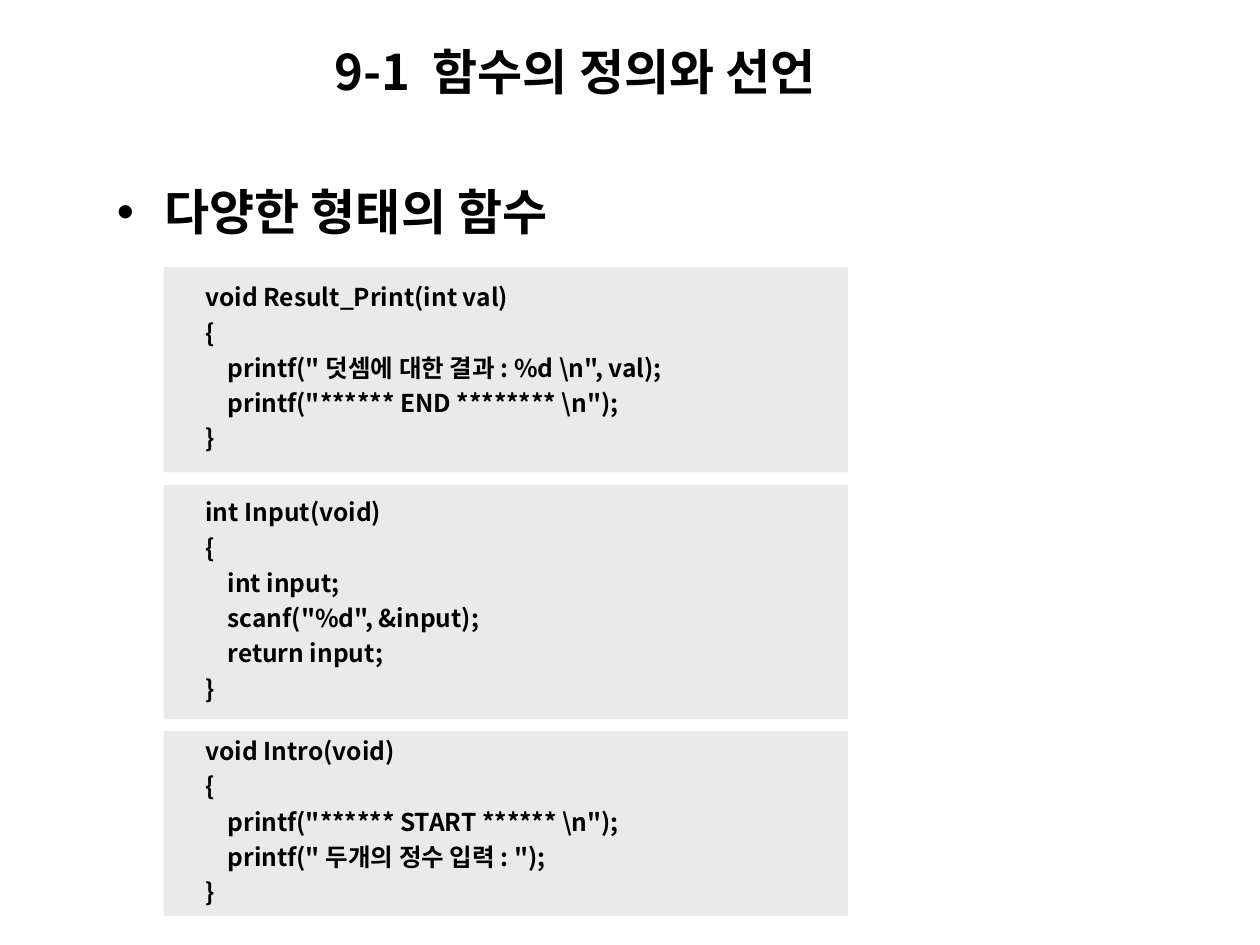
import pptx
import pptx.util
import pptx.dml.color
import pptx.enum.shapes
import pptx.enum.text
import pptx.oxml.ns
from lxml import etree

COLORS = {"text": "000000", "panel": "EAEAEA", "page": "FFFFFF"}
FONT = "Noto Sans CJK KR"
TITLE = "9-1  함수의 정의와 선언"
TOPIC = "다양한 형태의 함수"

# Top and height of each code panel, then its lines
LISTINGS = [
    (2.12, 1.63, [
        "void Result_Print(int val)",
        "{",
        '    printf(" 덧셈에 대한 결과 : %d \\n", val);',
        '    printf("****** END ******** \\n");',
        "}",
    ]),
    (3.85, 1.86, [
        "int Input(void)",
        "{",
        "    int input;",
        '    scanf("%d", &input);',
        "    return input;",
        "}",
    ]),
    (5.8, 1.47, [
        "void Intro(void)",
        "{",
        '    printf("****** START ****** \\n");',
        '    printf(" 두개의 정수 입력 : ");',
        "}",
    ]),
]
PANEL_LEFT, PANEL_WIDTH = 1.3, 5.43
PANEL_INSETS = (0.33, 0.13, 0.1, 0.21)
TEXT_INSETS = (0.1, 0.05, 0.1, 0.05)

Inches, Pt = pptx.util.Inches, pptx.util.Pt
Anchor = pptx.enum.text.MSO_ANCHOR
qn = pptx.oxml.ns.qn


def color(name):
    return pptx.dml.color.RGBColor.from_string(COLORS[name])


def add_bullet(para, indent):
    props = para._p.get_or_add_pPr()
    props.set("marL", str(Inches(indent)))
    props.set("indent", str(-Inches(indent)))
    etree.SubElement(props, qn("a:buFont"), typeface="Arial")
    etree.SubElement(props, qn("a:buChar"), char="•")


def style(para, size, spacing):
    para.alignment = pptx.enum.text.PP_ALIGN.LEFT
    para.line_spacing = spacing
    font = para.font
    font.name, font.size, font.bold = FONT, Pt(size), True
    font.color.rgb = color("text")
    defaults = para._p.pPr.find(qn("a:defRPr"))
    etree.SubElement(defaults, qn("a:ea"), typeface=FONT)


def fill_text(shape, lines, size, spacing, anchor, insets, bullet_indent=None):
    frame = shape.text_frame
    frame.word_wrap = True
    frame.vertical_anchor = anchor
    (frame.margin_left, frame.margin_top,
     frame.margin_right, frame.margin_bottom) = map(Inches, insets)
    frame.text = "\n".join(lines)
    for para in frame.paragraphs:
        if bullet_indent:
            add_bullet(para, bullet_indent)
        style(para, size, spacing)


def add_panel(page, top, height, lines):
    panel = page.shapes.add_shape(
        pptx.enum.shapes.MSO_SHAPE.RECTANGLE,
        *map(Inches, (PANEL_LEFT, top, PANEL_WIDTH, height)))
    panel.shadow.inherit = False
    panel.fill.solid()
    panel.fill.fore_color.rgb = color("panel")
    panel.line.fill.background()
    fill_text(panel, lines, 14, 1.2, Anchor.MIDDLE, PANEL_INSETS)


def main():
    deck = pptx.Presentation()
    deck.slide_width, deck.slide_height = Inches(10), Inches(7.5)
    page = deck.slides.add_slide(deck.slide_layouts[6])
    page.background.fill.solid()
    page.background.fill.fore_color.rgb = color("page")

    title = page.shapes.add_textbox(*map(Inches, (2.56, 0.28, 4.56, 0.57)))
    fill_text(title, [TITLE], 28, 1.0, Anchor.MIDDLE, TEXT_INSETS)
    topic = page.shapes.add_textbox(*map(Inches, (0.83, 1.3, 4.01, 0.66)))
    fill_text(topic, [TOPIC], 28, 1.2, Anchor.TOP, TEXT_INSETS, 0.38)
    for top, height, lines in LISTINGS:
        add_panel(page, top, height, lines)
    deck.save("out.pptx")


if __name__ == "__main__":
    main()
